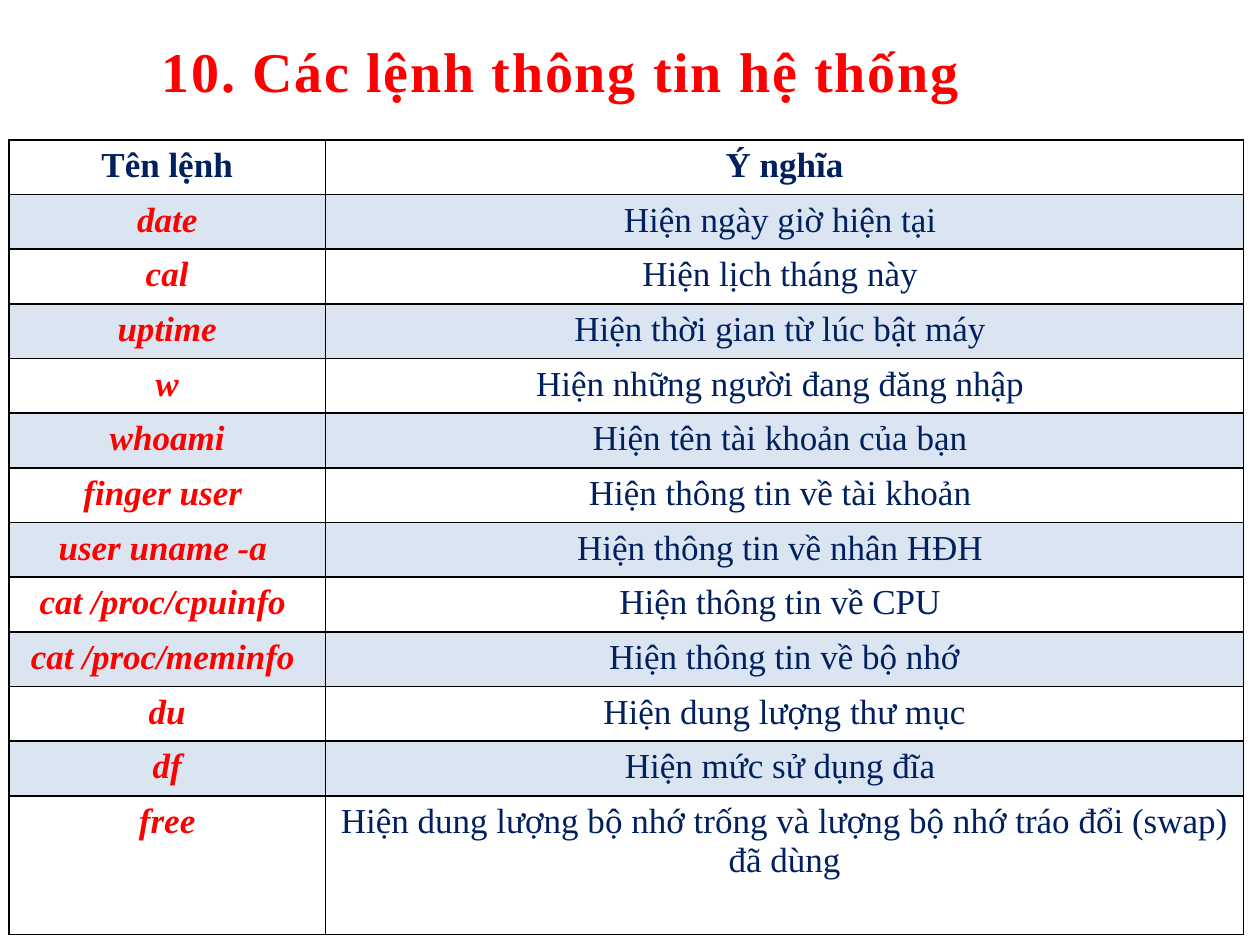
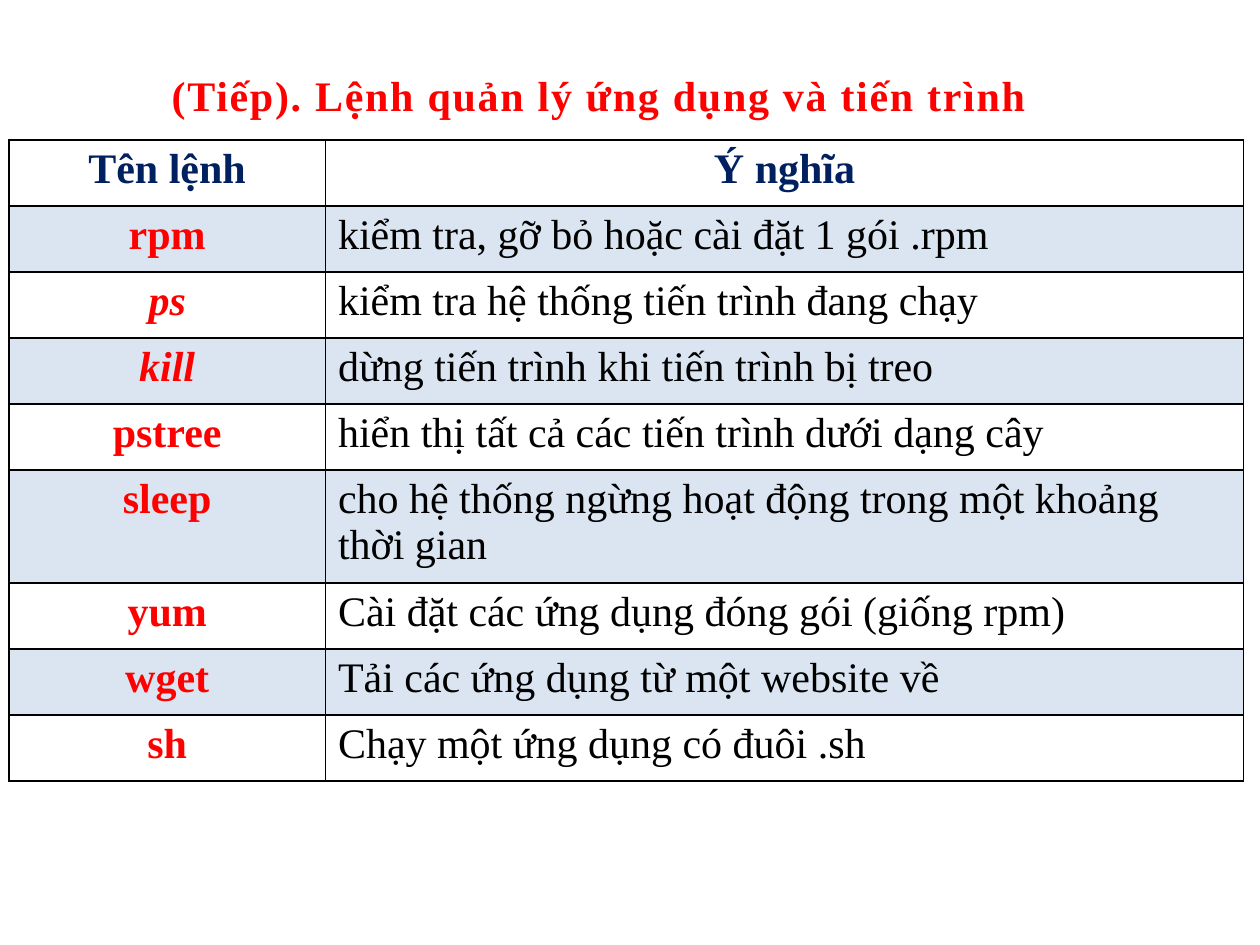
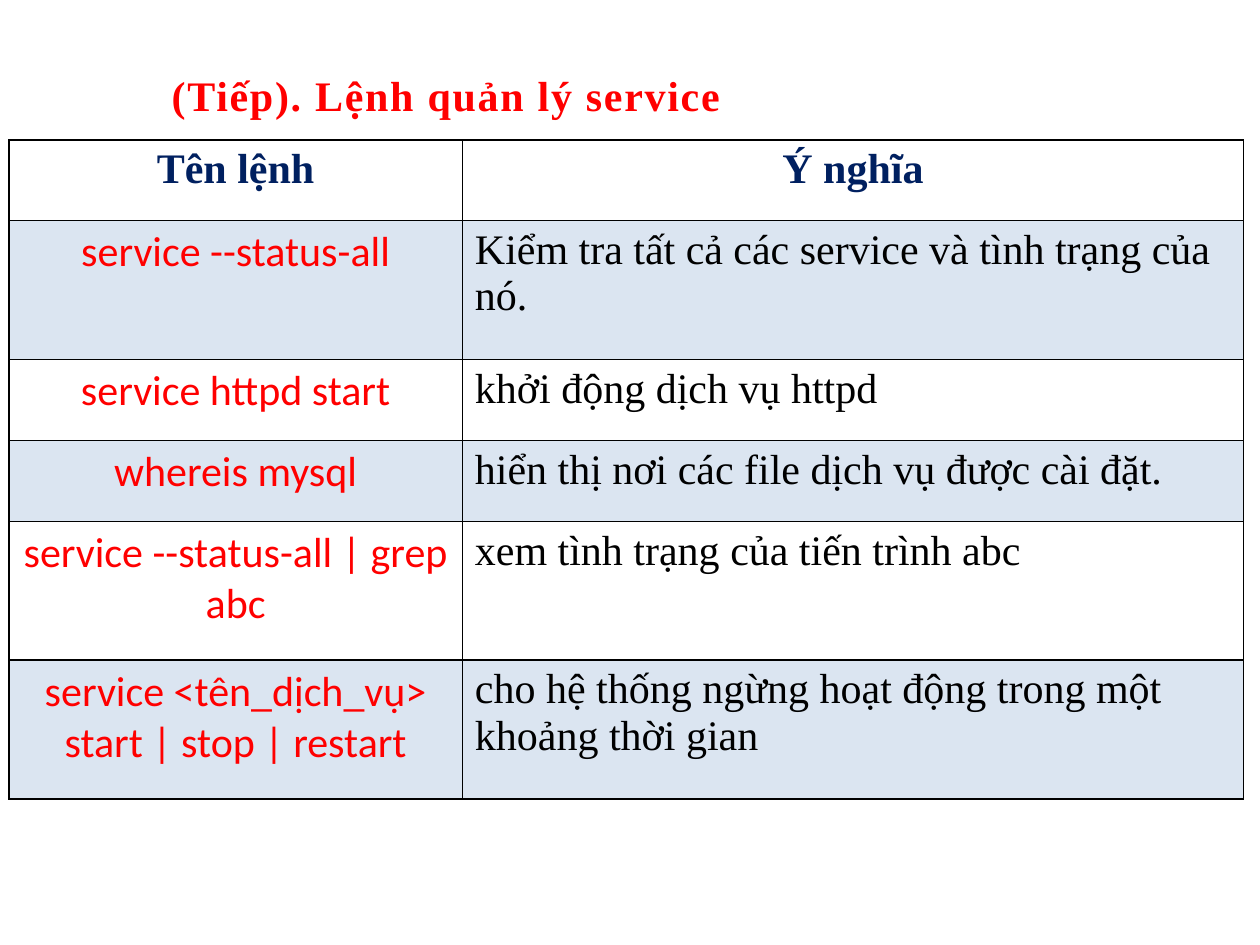
from dataclasses import dataclass

from lxml.etree import SubElement
from pptx import Presentation
from pptx.dml.color import RGBColor
from pptx.enum.text import MSO_ANCHOR, MSO_AUTO_SIZE, PP_ALIGN
from pptx.oxml.ns import qn
from pptx.util import Cm, Pt


@dataclass(frozen=True)
class Theme:
    serif: str = "Times New Roman"
    sans: str = "Calibri"
    red: str = "FF0000"
    navy: str = "002060"
    black: str = "000000"
    white: str = "FFFFFF"
    band: str = "4F81BD"
    band_alpha: int = 20
    large_title: int = 32
    medium: int = 24
    small: int = 20


@dataclass(frozen=True)
class TextStyle:
    size: int
    color: str
    font: str = Theme.serif
    bold: bool = False
    italic: bool = False
    alignment: PP_ALIGN = PP_ALIGN.CENTER


THEME = Theme()
TITLE_ONLY = 5
TABLE_LEFT, TABLE_TOP, TABLE_WIDTH = 0.18, 2.82, 24.89
HEADINGS = ("Tên lệnh", "Ý nghĩa")

SYSTEM_COMMANDS = [
    ("date", "Hiện ngày giờ hiện tại "),
    ("cal", "Hiện lịch tháng này "),
    ("uptime", "Hiện thời gian từ lúc bật máy "),
    ("w", "Hiện những người đang đăng nhập "),
    ("whoami", "Hiện tên tài khoản của bạn "),
    ("finger user ", "Hiện thông tin về tài khoản "),
    ("user uname -a ", "Hiện thông tin về nhân HĐH "),
    ("cat /proc/cpuinfo ", "Hiện thông tin về CPU "),
    ("cat /proc/meminfo ", "Hiện thông tin về bộ nhớ"),
    ("du", "Hiện dung lượng thư mục"),
    ("df", "Hiện mức sử dụng đĩa "),
    ("free", "Hiện dung lượng bộ nhớ trống và lượng bộ nhớ tráo đổi (swap) đã dùng"),
]
PROCESS_COMMANDS = [
    ("rpm", "kiểm tra, gỡ bỏ hoặc cài đặt 1 gói .rpm"),
    ("ps", "kiểm tra hệ thống tiến trình đang chạy"),
    ("kill", "dừng tiến trình khi tiến trình bị treo"),
    ("pstree", "hiển thị tất cả các tiến trình dưới dạng cây"),
    ("sleep", "cho hệ thống ngừng hoạt động trong một khoảng thời gian"),
    ("yum", "Cài đặt các ứng dụng đóng gói (giống rpm)"),
    ("wget", "Tải các ứng dụng từ một website về"),
    ("sh", "Chạy một ứng dụng có đuôi .sh"),
]
SERVICE_COMMANDS = [
    ("service --status-all", "Kiểm tra tất cả các service và tình trạng của nó."),
    ("service httpd start", "khởi động dịch vụ httpd"),
    ("whereis mysql", "hiển thị nơi các file dịch vụ được cài đặt."),
    ("service --status-all | grep abc", "xem tình trạng của tiến trình abc"),
    (
        "service <tên_dịch_vụ> start | stop | restart",
        "cho hệ thống ngừng hoạt động trong một khoảng thời gian",
    ),
]


def format_paragraph(paragraph, style):
    paragraph.alignment = style.alignment
    font = paragraph.font
    font.name = style.font
    font.size = Pt(style.size)
    font.bold = style.bold
    font.italic = style.italic
    font.color.rgb = RGBColor.from_string(style.color)


def add_title_slide(presentation, text, left, top, height, size):
    slide = presentation.slides.add_slide(presentation.slide_layouts[TITLE_ONLY])
    title = slide.shapes.title
    title.left, title.top = Cm(left), Cm(top)
    title.width, title.height = Cm(24.33), Cm(height)
    frame = title.text_frame
    frame.text = text
    frame.word_wrap = True
    frame.auto_size = MSO_AUTO_SIZE.SHAPE_TO_FIT_TEXT
    frame.vertical_anchor = MSO_ANCHOR.TOP
    frame.margin_left = frame.margin_right = 0
    frame.margin_top = frame.margin_bottom = 0
    paragraph = frame.paragraphs[0]
    format_paragraph(
        paragraph, TextStyle(size, THEME.red, bold=True, alignment=PP_ALIGN.LEFT)
    )
    properties = paragraph._p.get_or_add_pPr()
    properties.set("marL", str(Cm(0.08)))
    properties.find(qn("a:defRPr")).set("spc", "100")
    return slide


def set_borders(cell):
    properties = cell._tc.get_or_add_tcPr()
    for position, side in enumerate(("lnL", "lnR", "lnT", "lnB")):
        line = properties.makeelement(qn(f"a:{side}"), {"w": str(Pt(1))})
        fill = SubElement(line, qn("a:solidFill"))
        SubElement(fill, qn("a:srgbClr"), val=THEME.black)
        properties.insert(position, line)


def fill_cell(cell, banded):
    cell.fill.solid()
    cell.fill.fore_color.rgb = RGBColor.from_string(
        THEME.band if banded else THEME.white
    )
    if banded:
        color = cell._tc.tcPr.find(f"{qn('a:solidFill')}/{qn('a:srgbClr')}")
        SubElement(color, qn("a:alpha"), val=str(THEME.band_alpha * 1000))


def write_cell(cell, text, style, banded):
    cell.text = text
    format_paragraph(cell.text_frame.paragraphs[0], style)
    fill_cell(cell, banded)
    set_borders(cell)


def add_command_table(
    slide, commands, name_width, row_height, tall_height, tall_rows,
    name_style, meaning_style, italic_names=(),
):
    rows = [HEADINGS, *commands]
    heights = [
        tall_height if name in tall_rows else row_height for name, _ in rows
    ]
    table = slide.shapes.add_table(
        len(rows), len(HEADINGS), Cm(TABLE_LEFT), Cm(TABLE_TOP),
        Cm(TABLE_WIDTH), Cm(sum(heights)),
    ).table
    table.first_row = False
    table.horz_banding = False
    table.columns[0].width = Cm(name_width)
    table.columns[1].width = Cm(TABLE_WIDTH - name_width)

    heading_style = TextStyle(name_style.size, THEME.navy, bold=True)
    italic_style = TextStyle(
        name_style.size, name_style.color, bold=True, italic=True
    )
    for index, (row, height) in enumerate(zip(rows, heights)):
        table.rows[index].height = Cm(height)
        if index == 0:
            styles = (heading_style, heading_style)
        elif row[0] in italic_names:
            styles = (italic_style, meaning_style)
        else:
            styles = (name_style, meaning_style)
        for column, (text, style) in enumerate(zip(row, styles)):
            write_cell(table.cell(index, column), text, style, index % 2 == 1)


def main():
    presentation = Presentation()
    presentation.slide_width, presentation.slide_height = Cm(25.4), Cm(19.05)
    meaning_style = TextStyle(THEME.medium, THEME.black, alignment=PP_ALIGN.LEFT)
    continued = {"left": 3.38, "top": 1.4, "height": 1.02, "size": THEME.medium}

    slide = add_title_slide(
        presentation, "10. Các lệnh thông tin hệ thống",
        left=3.18, top=0.74, height=1.37, size=THEME.large_title,
    )
    add_command_table(
        slide, SYSTEM_COMMANDS, 6.38, 1.1, 2.8, ("free",),
        TextStyle(THEME.small, THEME.red, bold=True, italic=True),
        TextStyle(THEME.small, THEME.navy),
    )

    slide = add_title_slide(
        presentation, "(Tiếp). Lệnh quản lý ứng dụng và tiến trình", **continued
    )
    add_command_table(
        slide, PROCESS_COMMANDS, 6.38, 1.33, 2.28, ("sleep",),
        TextStyle(THEME.medium, THEME.red, bold=True),
        meaning_style, italic_names=("ps", "kill"),
    )

    slide = add_title_slide(
        presentation, "(Tiếp). Lệnh quản lý service", **continued
    )
    two_line_names = [SERVICE_COMMANDS[index][0] for index in (0, 3, 4)]
    add_command_table(
        slide, SERVICE_COMMANDS, 9.14, 1.63, 2.8, two_line_names,
        TextStyle(THEME.medium, THEME.red, font=THEME.sans), meaning_style,
    )

    presentation.save("out.pptx")


if __name__ == "__main__":
    main()
